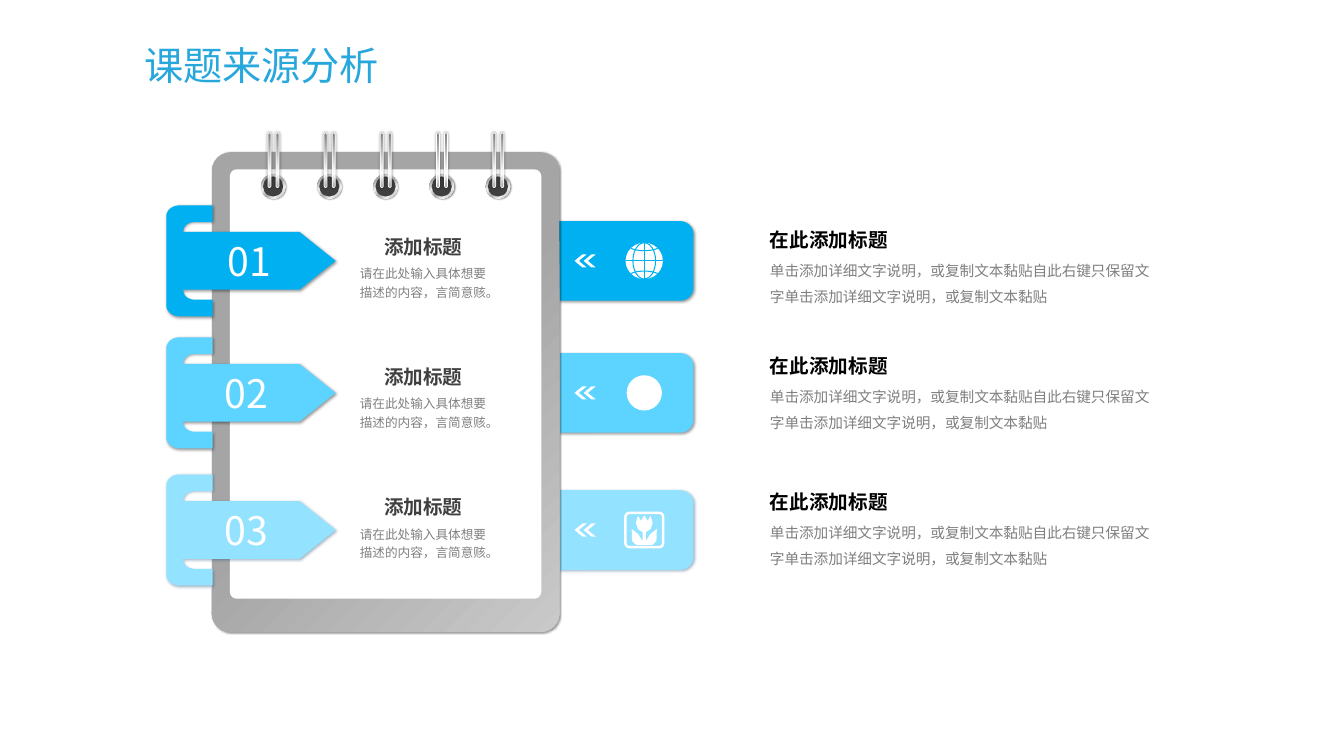
from dataclasses import dataclass
from typing import Optional

from lxml.etree import SubElement
from pptx import Presentation
from pptx.dml.color import RGBColor
from pptx.enum.shapes import MSO_CONNECTOR as Connector, MSO_SHAPE as Preset
from pptx.enum.text import MSO_ANCHOR as Anchor, MSO_AUTO_SIZE as AutoSize, PP_ALIGN as Align
from pptx.oxml.ns import qn
from pptx.util import Inches, Pt

# Grid of 160 columns by 90 rows, with square cells
COLUMNS, ROWS = 160, 90
FONT = "Noto Sans CJK SC"
COLORS = {
    "sky": "00B0F0", "light": "5DD4FF", "pale": "93E2FF", "white": "FFFFFF",
    "hole": "404040", "heading": "404040", "body": "808080", "black": "000000",
    "title": "0599D7", "pale_shadow": "1F4E79",
}
# Gradients: position in percent, colour, opacity in percent
BOARD_STOPS = [(0, "C9C9C9", 100), (50, "A5A5A5", 100)]
RING_STOPS = [(0, "FFFFFF", 100), (17, "A6A6A6", 100), (35, "F2F2F2", 100),
              (55, "A6A6A6", 100), (75, "F2F2F2", 100), (100, "A6A6A6", 100)]
POST_STOPS = [(0, "808080", 100), (23, "A6A6A6", 100), (52, "D9D9D9", 100),
              (74, "FFFFFF", 100), (100, "A6A6A6", 100)]
TITLE_STOPS = [(0, COLORS["title"], 100), (42, COLORS["title"], 85),
               (59, COLORS["title"], 80), (100, COLORS["title"], 100)]

prs = Presentation()
prs.slide_width, prs.slide_height = Inches(40 / 3), Inches(7.5)
CELL = prs.slide_height / ROWS
slide = prs.slides.add_slide(prs.slide_layouts[5])
shapes = slide.shapes


@dataclass
class Topic:
    number: str
    number_x: float
    center: float
    card_y: float
    note_y: float
    color: str
    shadow: str


TOPICS = [
    Topic("01", 25.92, 31.06, 27.36, 26.52, "sky", "black"),
    Topic("02", 25.56, 46.77, 42.84, 41.52, "light", "black"),
    Topic("03", 25.56, 63.1, 58.32, 57.72, "pale", "pale_shadow"),
]


def cells(*values: float) -> list[int]:
    return [round(value * CELL) for value in values]


def rgb(name: str) -> RGBColor:
    return RGBColor.from_string(COLORS[name])


def add_gradient(parent, stops: list, angle: Optional[int]) -> None:
    """Linear at the given angle, or radial from the lower right corner."""
    gradient = SubElement(parent, qn("a:gradFill"), rotWithShape="1")
    stop_list = SubElement(gradient, qn("a:gsLst"))
    for position, color, opacity in stops:
        stop = SubElement(stop_list, qn("a:gs"), pos=str(position * 1000))
        tint = SubElement(stop, qn("a:srgbClr"), val=color)
        if opacity < 100:
            SubElement(tint, qn("a:alpha"), val=str(opacity * 1000))
    if angle is None:
        radial = SubElement(gradient, qn("a:path"), path="circle")
        SubElement(radial, qn("a:fillToRect"), l="100000", t="100000")
    else:
        SubElement(gradient, qn("a:lin"), ang=str(angle * 60000), scaled="0")


def style(shape, fill: Optional[str] = None, stops: Optional[list] = None,
          angle: Optional[int] = None, line: Optional[str] = None, width: float = 0.5,
          shadow: Optional[str] = None, blur: int = 2, distance: int = 1) -> None:
    shape.fill.background()
    if fill:
        shape.fill.solid()
        shape.fill.fore_color.rgb = rgb(fill)
    elif stops:
        properties = shape._element.spPr
        add_gradient(properties, stops, angle)
        properties.replace(properties.find(qn("a:noFill")), properties[-1])
    if line:
        shape.line.color.rgb = rgb(line)
        shape.line.width = Pt(width)
    else:
        shape.line.fill.background()
    shape.shadow.inherit = False
    if shadow:
        effects = shape._element.spPr.find(qn("a:effectLst"))
        outer = SubElement(effects, qn("a:outerShdw"), blurRad=str(Pt(blur)),
                           dist=str(Pt(distance)), dir="2700000", algn="tl", rotWithShape="0")
        tint = SubElement(outer, qn("a:srgbClr"), val=COLORS[shadow])
        SubElement(tint, qn("a:alpha"), val="40000")


def add_preset(preset, x: float, y: float, w: float, h: float,
               adjust: Optional[float] = None, rotation: int = 0, **look) -> None:
    shape = shapes.add_shape(preset, *cells(x, y, w, h))
    if adjust is not None:
        shape.adjustments[0] = adjust
    shape.rotation = rotation
    style(shape, **look)


def add_outline(points: list, x: float, y: float, close: bool = True, **look) -> None:
    placed = [cells(x + dx, y + dy) for dx, dy in points]
    builder = shapes.build_freeform(*placed[0])
    builder.add_line_segments(placed[1:], close=close)
    style(builder.convert_to_shape(), **look)


def bend(start: tuple, corner: tuple, end: tuple, pull: float = 0.55, steps: int = 10) -> list:
    """Points of a curve from start to end, drawn towards the corner."""
    points = []
    for step in range(steps + 1):
        t = step / steps
        a, b = (1 - t) ** 3, 3 * t * (1 - t) ** 2
        c, d = 3 * t ** 2 * (1 - t), t ** 3
        points.append(tuple(
            a * s + b * (s + pull * (k - s)) + c * (e + pull * (k - e)) + d * e
            for s, k, e in zip(start, corner, end)))
    return points


def write(text: str, x: float, y: float, w: float, h: float, *, size: float,
          color: str = "black", bold: bool = False, align=Align.LEFT, wrap: bool = True,
          spacing: float = 1.0, stops: Optional[list] = None, box=None) -> None:
    box = box or shapes.add_textbox(0, 0, 0, 0)
    box.left, box.top, box.width, box.height = cells(x, y, w, h)
    frame = box.text_frame
    frame.word_wrap, frame.auto_size = wrap, AutoSize.SHAPE_TO_FIT_TEXT
    frame.vertical_anchor = Anchor.TOP
    paragraph = frame.paragraphs[0]
    paragraph.alignment, paragraph.line_spacing = align, spacing
    run = paragraph.add_run()
    run.text = text
    run.font.size, run.font.bold = Pt(size), bold
    properties = run._r.get_or_add_rPr()
    if stops:
        add_gradient(properties, stops, 45)
    else:
        run.font.color.rgb = rgb(color)
    run.font.name = FONT
    SubElement(properties, qn("a:ea"), typeface=FONT)


def add_globe(x: float, y: float, color: str) -> None:
    add_preset(Preset.OVAL, x - 2.22, y - 2.16, 4.44, 4.32, fill="white")
    add_preset(Preset.OVAL, x - 1.35, y - 2.16, 2.7, 4.32, line=color, width=0.75)
    for dx, dy in ((2.22, 0), (0, 2.16)):
        axis = shapes.add_connector(Connector.STRAIGHT, *cells(x - dx, y - dy, x + dx, y + dy))
        axis.line.color.rgb, axis.line.width = rgb(color), Pt(0.75)
        SubElement(axis._element.spPr, qn("a:effectLst"))
    for side in (-1, 1):
        latitude = bend((-1.6, 1.5 * side), (0, 0.8 * side), (1.6, 1.5 * side))
        add_outline(latitude, x, y, close=False, line=color, width=0.75)


def add_flower(x: float, y: float) -> None:
    add_preset(Preset.ROUNDED_RECTANGLE, x - 2.25, y - 2.05, 4.5, 4.1,
               adjust=0.12, line="white", width=1.75)
    half = [(0, -1.75), (0.4, -1.1), (0.75, -1.7), (1, -0.84), (0.75, -0.1), (0.2, 0.25),
            (0.2, 1.3), (0.75, 0.45), (1.5, -0.12), (1.45, 1.3), (1, 1.75), (0.2, 1.8)]
    add_outline(half + [(-dx, dy) for dx, dy in half[:0:-1]], x, y, fill="white")


# Right-hand tabs, behind the board
for topic in TOPICS:
    add_preset(Preset.ROUND_2_SAME_RECTANGLE, 69.84, topic.center - 7.98, 9.48, 15.96,
               rotation=90, fill=topic.color, shadow=topic.shadow)

# Notepad board and paper
add_preset(Preset.ROUNDED_RECTANGLE, 25.2, 18.12, 41.4, 57.12, adjust=0.054,
           stops=BOARD_STOPS, shadow="black", blur=1)
add_preset(Preset.ROUNDED_RECTANGLE, 27.36, 20.16, 37.08, 51.12, adjust=0.022, fill="white")

# Binder rings
for index in range(5):
    ring_x = 31.08 + 6.69 * index
    add_preset(Preset.OVAL, ring_x, 20.76, 2.88, 2.88, stops=RING_STOPS, angle=45,
               shadow="black", blur=1)
    add_preset(Preset.OVAL, ring_x + 0.24, 21, 2.4, 2.4, fill="hole")
    for post_x in (0.82, 1.78):
        add_preset(Preset.ROUNDED_RECTANGLE, ring_x + post_x, 15.84, 0.36, 6.48, adjust=0.5,
                   stops=POST_STOPS, angle=90, line="white", shadow="black", distance=0)

# Numbered flags, tab arrows, cards and notes
upper = [*bend((19.8, -5.3), (19.8, -6.6), (21.36, -6.6)), (25.32, -6.6), (25.32, -4.62),
         *bend((23.16, -4.62), (21.84, -4.62), (21.84, -3.6)), (21.84, -3.44), (35.64, -3.44)]
flag = upper + [(39.96, 0)] + [(dx, -dy) for dx, dy in reversed(upper)]
for topic in TOPICS:
    add_outline(flag, 0, topic.center, fill=topic.color, shadow=topic.shadow)
    write(topic.number, topic.number_x, topic.center - 3.42, 7.92, 6.84,
          size=28, color="white", wrap=False)
    for chevron_x in (68.4, 69.48):
        add_preset(Preset.CHEVRON, chevron_x, topic.center - 0.78, 1.44, 1.56,
                   adjust=0.646, rotation=180, fill="white")
    write("添加标题", 43.08, topic.card_y, 14.64, 4.08, size=14, color="heading",
          bold=True, align=Align.CENTER)
    write("请在此处输入具体想要描述的内容，言简意赅。", 41.04, topic.card_y + 3.4, 18.6, 5.52,
          size=9, color="body", align=Align.CENTER, spacing=1.2)
    write("在此添加标题", 90.48, topic.note_y, 23.64, 4.08, size=14, bold=True)
    write("单击添加详细文字说明，或复制文本黏贴自此右键只保留文字单击添加详细文字说明，或复制文本黏贴",
          90.48, topic.note_y + 3, 49.08, 7.2, size=10.5, color="body", spacing=1.5)

# Tab icons
ICON_X = 76.7
add_globe(ICON_X, TOPICS[0].center, TOPICS[0].color)
add_preset(Preset.OVAL, ICON_X - 2.1, TOPICS[1].center - 2.1, 4.2, 4.2, fill="white")
add_flower(ICON_X, TOPICS[2].center)

# Title
write("课题来源分析", 15.96, 4.32, 30.72, 6.84, size=28, wrap=False,
      stops=TITLE_STOPS, box=shapes.title)

prs.save("out.pptx")
